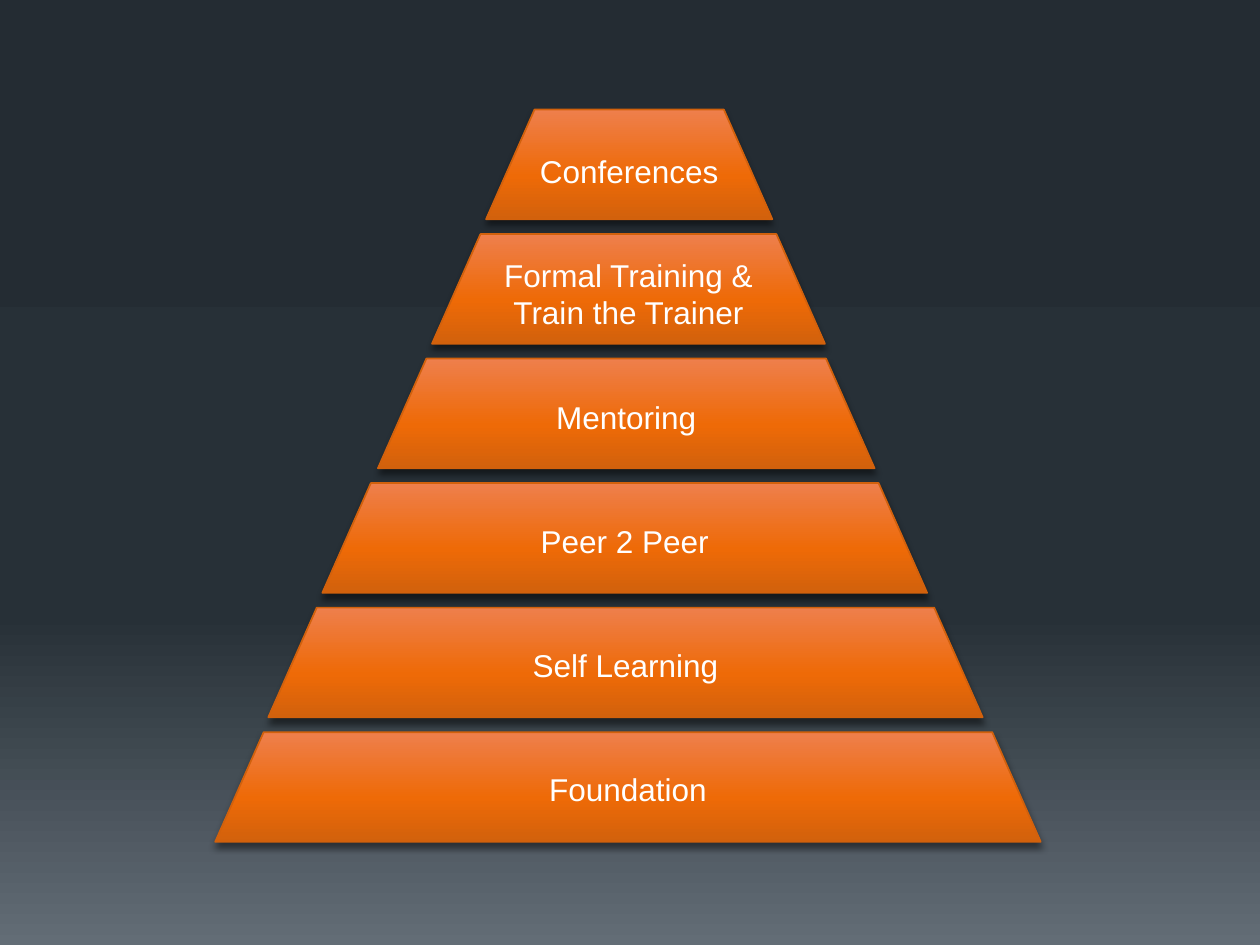
from dataclasses import dataclass

from lxml import etree
from pptx import Presentation
from pptx.dml.color import RGBColor
from pptx.dml.fill import FillFormat
from pptx.enum.shapes import MSO_SHAPE
from pptx.enum.text import MSO_ANCHOR, PP_ALIGN
from pptx.oxml.ns import qn
from pptx.shapes.shapetree import GroupShapes
from pptx.util import Cm, Pt

TRAPEZOID = MSO_SHAPE.TRAPEZOID
MIDDLE = MSO_ANCHOR.MIDDLE
CENTER = PP_ALIGN.CENTER

Stops = tuple[tuple[int, str], ...]


@dataclass(frozen=True)
class Theme:
    back: Stops = ((0, "242C33"), (65, "273037"), (100, "636D76"))
    tier: Stops = ((0, "EE7F4C"), (60, "EE6A07"), (100, "D2610C"))
    edge: str = "D2610C"
    text: str = "FFFFFF"
    shade: str = "000000"
    font: str = "Arial"
    size: int = 18


@dataclass(frozen=True)
class Tier:
    label: str
    left: float
    width: float


THEME = Theme()
TOP = 2.21
HEIGHT = 2.21
STEP = 2.51
SLOPE = 0.442

TIERS = [
    Tier("Conferences", 9.8, 5.77),
    Tier("Formal Training & Train the Trainer", 8.71, 7.92),
    Tier("Mentoring", 7.62, 10.01),
    Tier("Peer 2 Peer", 6.5, 12.19),
    Tier("Self Learning", 5.41, 14.4),
    Tier("Foundation", 4.34, 16.64),
]


def add_color(parent: etree.ElementBase, color: str) -> etree.ElementBase:
    return etree.SubElement(parent, qn("a:srgbClr"), val=color)


def set_blend(fill: FillFormat, root: etree.ElementBase, stops: Stops) -> None:
    fill.gradient()
    fill.gradient_angle = 270
    blend = next(root.iter(qn("a:gsLst")))
    for stop in list(blend):
        blend.remove(stop)
    for place, color in stops:
        stop = etree.SubElement(blend, qn("a:gs"), pos=str(place * 1000))
        add_color(stop, color)


def add_shade(root: etree.ElementBase) -> None:
    effects = next(root.iter(qn("a:effectLst")))
    shade = etree.SubElement(
        effects, qn("a:outerShdw"), blurRad=str(Pt(3.8)), dist=str(Pt(3)),
        dir="5400000", rotWithShape="0",
    )
    color = add_color(shade, THEME.shade)
    etree.SubElement(color, qn("a:alpha"), val="48000")


def draw_tier(shapes: GroupShapes, tier: Tier, row: int) -> None:
    shape = shapes.add_shape(
        TRAPEZOID, Cm(tier.left), Cm(TOP + row * STEP), Cm(tier.width), Cm(HEIGHT)
    )
    shape.adjustments[0] = SLOPE
    set_blend(shape.fill, shape.element, THEME.tier)
    shape.line.color.rgb = RGBColor.from_string(THEME.edge)
    shape.line.width = Pt(1)
    shape.shadow.inherit = False
    add_shade(shape.element)
    frame = shape.text_frame
    frame.word_wrap = True
    frame.vertical_anchor = MIDDLE
    para = frame.paragraphs[0]
    para.text = tier.label
    para.alignment = CENTER
    para.font.name = THEME.font
    para.font.size = Pt(THEME.size)
    para.font.color.rgb = RGBColor.from_string(THEME.text)


def main() -> None:
    deck = Presentation()
    deck.slide_width, deck.slide_height = Cm(25.4), Cm(19.05)
    slide = deck.slides.add_slide(deck.slide_layouts[6])
    set_blend(slide.background.fill, slide.element, THEME.back)
    group = slide.shapes.add_group_shape()
    for row, tier in reversed(list(enumerate(TIERS))):
        draw_tier(group.shapes, tier, row)
    deck.save("out.pptx")


if __name__ == "__main__":
    main()
